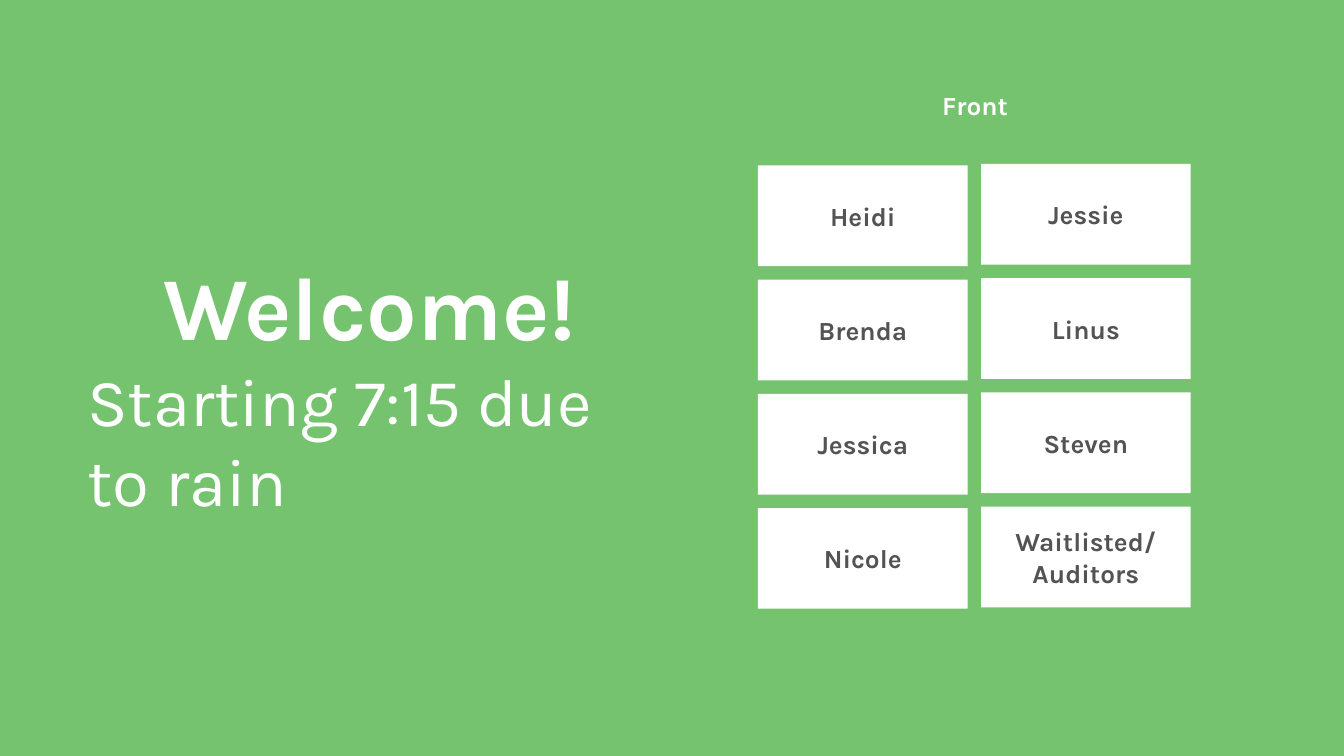
"""Build a welcome slide with a seating plan."""
import pptx
import pptx.dml.color
import pptx.enum.shapes
import pptx.enum.text
import pptx.util

Inches = pptx.util.Inches
ALIGN = pptx.enum.text.PP_ALIGN
ANCHOR = pptx.enum.text.MSO_ANCHOR

GREEN, WHITE, GREY = "75C36E", "FFFFFF", "535353"
GREETING = [("Welcome!", 48, True, ALIGN.CENTER),
            ("Starting 7:15 due to rain", 36, False, ALIGN.LEFT)]
FRONT = "Front"
SEAT_COLUMNS = [
    (1.23, ["Heidi", "Brenda", "Jessica", "Nicole"]),
    (1.22, ["Jessie", "Linus", "Steven", "Waitlisted/\nAuditors"]),
]
SLIDE_WIDTH = 10
SLIDE_HEIGHT = SLIDE_WIDTH * 9 / 16
SEAT_WIDTH, SEAT_HEIGHT, GAP = 1.56, 0.75, 0.1
PLAN_LEFT = 5.64


def paint(fill, color):
    fill.solid()
    fill.fore_color.rgb = pptx.dml.color.RGBColor.from_string(color)


def write(shape, lines, color, anchor):
    frame = shape.text_frame
    margins = {f"margin_{side}": Inches(0.1) for side in ("left", "top", "right", "bottom")}
    layout = {"word_wrap": True, "auto_size": pptx.enum.text.MSO_AUTO_SIZE.NONE,
              "vertical_anchor": anchor, **margins}
    for name, value in layout.items():
        setattr(frame, name, value)
    frame.text = "\n".join(line[0] for line in lines)
    for paragraph, (_, size, bold, align) in zip(frame.paragraphs, lines):
        paragraph.alignment = align
        font = paragraph.runs[0].font
        for name, value in {"name": "Karla", "size": pptx.util.Pt(size), "bold": bold}.items():
            setattr(font, name, value)
        paint(font.fill, color)


def label(text):
    return [(line, 14, True, ALIGN.CENTER) for line in text.split("\n")]


def main():
    deck = pptx.Presentation()
    deck.slide_width, deck.slide_height = Inches(SLIDE_WIDTH), Inches(SLIDE_HEIGHT)
    slide = deck.slides.add_slide(deck.slide_layouts[5])
    paint(slide.background.fill, GREEN)

    greeting = slide.shapes.title
    place = {"left": 0.55, "top": 1.12, "width": 4.4, "height": 3.5}
    for name, value in place.items():
        setattr(greeting, name, Inches(value))
    write(greeting, GREETING, WHITE, ANCHOR.MIDDLE)

    front = slide.shapes.add_textbox(Inches(6.13), Inches(0.5), Inches(2.25), Inches(0.5))
    write(front, label(FRONT), WHITE, ANCHOR.BOTTOM)

    for column, (top, names) in enumerate(SEAT_COLUMNS):
        for row, name in enumerate(names):
            seat = slide.shapes.add_shape(
                pptx.enum.shapes.MSO_SHAPE.RECTANGLE,
                Inches(PLAN_LEFT + column * (SEAT_WIDTH + GAP)),
                Inches(top + row * (SEAT_HEIGHT + GAP)),
                Inches(SEAT_WIDTH), Inches(SEAT_HEIGHT))
            seat.shadow.inherit = False
            paint(seat.fill, WHITE)
            seat.line.fill.background()
            write(seat, label(name), GREY, ANCHOR.MIDDLE)

    deck.save("out.pptx")


if __name__ == "__main__":
    main()
